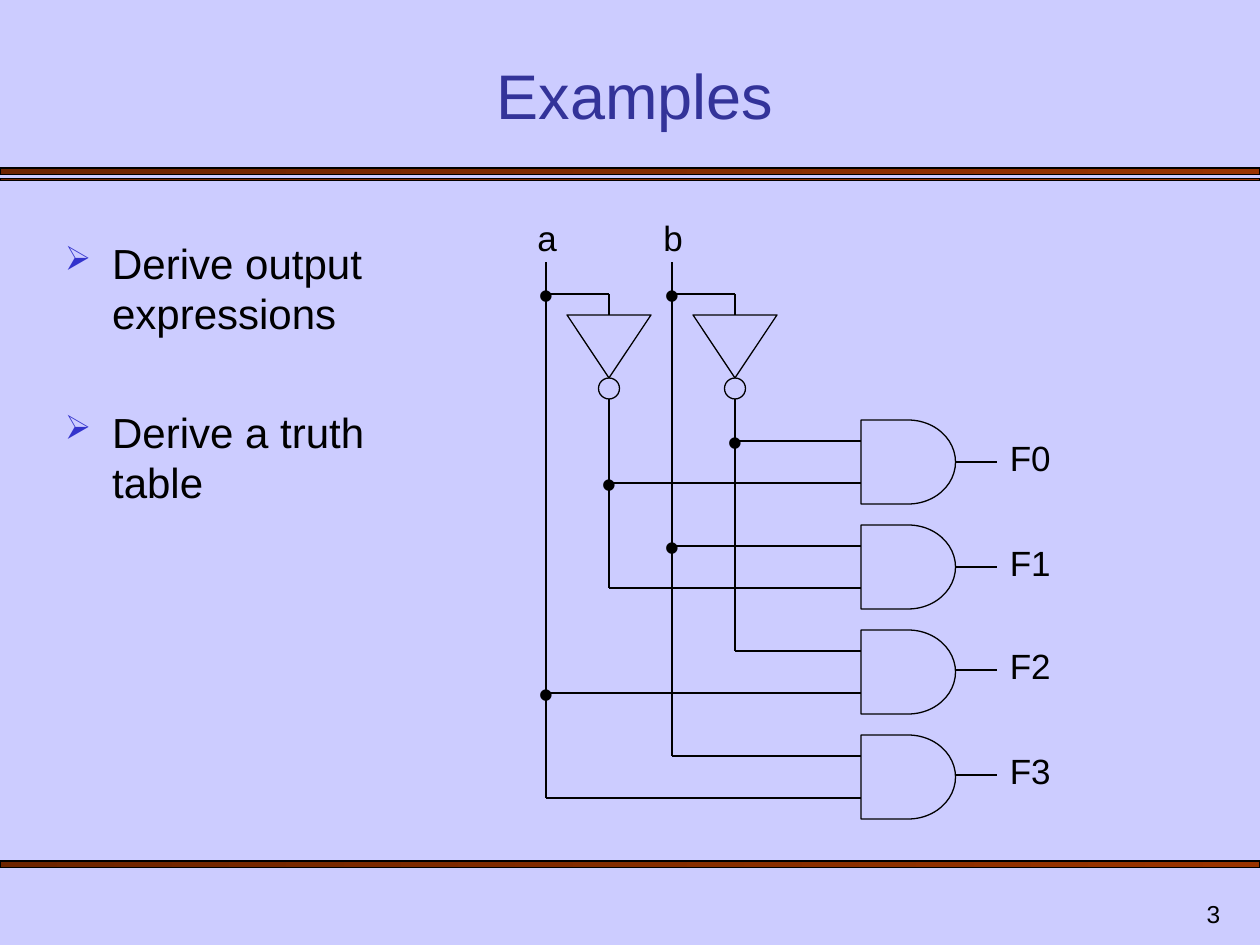
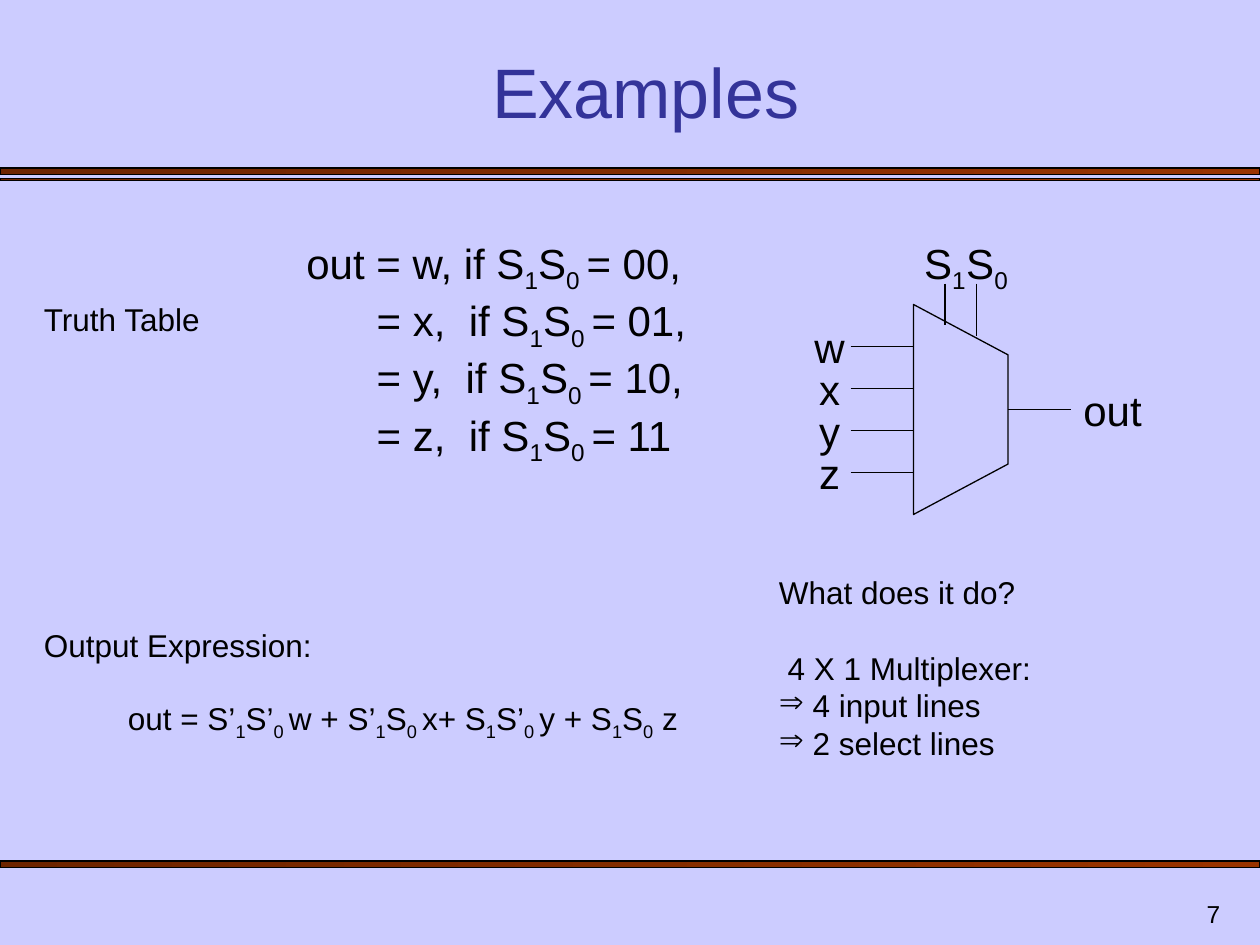
import lxml.etree
import pptx
import pptx.dml.color
import pptx.enum.shapes
import pptx.enum.text
import pptx.oxml.ns
import pptx.util

PX = 7620
RGB = pptx.dml.color.RGBColor
LAVENDER = RGB(0xCC, 0xCC, 0xFF)
DARK_RUST = RGB(0x6D, 0x24, 0x00)
RUST = RGB(0x99, 0x33, 0x00)
BLACK = RGB(0x00, 0x00, 0x00)
TITLE_BLUE = RGB(0x33, 0x33, 0x99)
BULLET_BLUE = RGB(0x33, 0x33, 0xCC)

SHAPE = pptx.enum.shapes.MSO_SHAPE
ANCHOR = pptx.enum.text.MSO_ANCHOR
ALIGN = pptx.enum.text.PP_ALIGN
CENTER = {"alignment": ALIGN.CENTER}
RIGHT = {"alignment": ALIGN.RIGHT}

BANDS = ((160, 6), (170, 2), (820, 6))
RAILS = {"a": 520, "a'": 580, "b": 640, "b'": 700}
GATES = (("b'", "a'"), ("b", "a'"), ("b'", "a"), ("b", "a"))
GATE_OUTPUTS = (440, 540, 638, 738)


def px(*values):
    return [pptx.util.Emu(round(v * PX)) for v in values]


def apply_format(target, values):
    for name, value in values.items():
        setattr(target, name, value)


def add_xml(parent, tag, **attrs):
    return lxml.etree.SubElement(parent, pptx.oxml.ns.qn(tag), attrs)


def outline(sp, fill=None):
    sp.shadow.inherit = False
    if fill is None:
        sp.fill.background()
    else:
        sp.fill.solid()
        sp.fill.fore_color.rgb = fill
    sp.line.color.rgb = BLACK
    sp.line.width = pptx.util.Pt(0.75)


def add_shape(s, kind, box, fill=None):
    sp = s.shapes.add_shape(kind, *px(*box))
    outline(sp, fill)
    return sp


def add_polygon(s, points, fill=None):
    builder = s.shapes.build_freeform(*points[0], scale=PX)
    builder.add_line_segments(points[1:], close=True)
    outline(builder.convert_to_shape(), fill)


def add_wire(s, x1, y1, x2, y2):
    cn = s.shapes.add_connector(
        pptx.enum.shapes.MSO_CONNECTOR.STRAIGHT, *px(x1, y1, x2, y2))
    cn.line.color.rgb = BLACK
    cn.line.width = pptx.util.Pt(0.75)
    add_xml(cn.element.spPr, "a:effectLst")


def add_runs(p, text, size, color):
    for i, part in enumerate(text.split("~")):
        if not part:
            continue
        r = p.add_run()
        r.text = part
        apply_format(r.font, {"name": "Arial", "size": pptx.util.Pt(size)})
        r.font.color.rgb = color
        if i % 2:
            r.font._element.set("baseline", "-25000")


def add_text(s, box, lines, size, color=BLACK, para=None, frame=None):
    tf = s.shapes.add_textbox(*px(*box)).text_frame
    apply_format(tf, {"word_wrap": True, **(frame or {})})
    lines = [lines] if isinstance(lines, str) else lines
    for i, line in enumerate(lines):
        p = tf.add_paragraph() if i else tf.paragraphs[0]
        apply_format(p, para or {})
        add_runs(p, line, size, color)
    return tf.paragraphs


def add_bullet(p, char, color=None, percent=None, indent=0):
    pPr = p._p.get_or_add_pPr()
    if indent:
        pPr.set("marL", str(indent * PX))
        pPr.set("indent", str(-indent * PX))
    if color is not None:
        add_xml(add_xml(pPr, "a:buClr"), "a:srgbClr", val=str(color))
    if percent:
        add_xml(pPr, "a:buSzPct", val=str(percent * 1000))
    add_xml(pPr, "a:buChar", char=char)


def add_band(s, top, height):
    sp = add_shape(s, SHAPE.RECTANGLE, (0, top, 1200, height))
    sp.fill.gradient()
    sp.fill.gradient_angle = 0
    for stop, color in zip(sp.fill.gradient_stops, (DARK_RUST, RUST)):
        stop.color.rgb = color


def add_slide(prs, number, title_box, title_size):
    s = prs.slides.add_slide(prs.slide_layouts[6])
    for top, height in BANDS:
        add_band(s, top, height)
    bottom = {"vertical_anchor": ANCHOR.BOTTOM}
    add_text(s, (924, 840, 250, 50), number, 14, para=RIGHT, frame=bottom)
    add_text(s, title_box, "Examples", title_size, TITLE_BLUE, CENTER, bottom)
    return s


def add_dot(s, x, y):
    add_text(s, (x - 30, y - 30, 60, 60), "•", 24, para=CENTER)


def add_inverter(s, x):
    add_shape(s, SHAPE.OVAL, (x - 10, 360, 20, 20), LAVENDER)
    add_polygon(s, [(x + 40, 300), (x - 40, 300), (x, 360)], LAVENDER)


def add_input(s, name):
    x, inverted = RAILS[name], RAILS[name + "'"]
    add_inverter(s, inverted)
    add_wire(s, x, 280, inverted, 280)
    add_wire(s, inverted, 280, inverted, 300)
    add_dot(s, x, 280)
    add_text(s, (x - 20, 200, 40, 52), name, 20)


def add_gate(s, i, output):
    add_shape(s, SHAPE.FLOWCHART_DELAY, (820, 400 + 100 * i, 90, 80))
    add_wire(s, 910, output, 950, output)
    add_text(s, (950, output - 30, 90, 52), f"F{i}", 20)


def add_rail(s, name, x):
    taps = [400 + 100 * i + 20 + 40 * pin
            for i, pins in enumerate(GATES)
            for pin, source in enumerate(pins) if source == name]
    add_wire(s, x, 380 if name.endswith("'") else 250, x, taps[-1])
    for y in taps:
        add_wire(s, x, y, 820, y)
    for y in taps[:-1]:
        add_dot(s, x, y)


def build_decoder_slide(prs):
    s = add_slide(prs, "3", (70, 48, 1070, 84), 36)
    tasks = add_text(s, (50, 220, 380, 280),
                     ["Derive output expressions", "Derive a truth table"], 24)
    tasks[1].space_before = pptx.util.Pt(39)
    for p in tasks:
        add_bullet(p, "➢", BULLET_BLUE, 80, 45)
    for i, output in enumerate(GATE_OUTPUTS):
        add_gate(s, i, output)
    for name, x in RAILS.items():
        add_rail(s, name, x)
    for name in "ab":
        add_input(s, name)


def add_multiplexer(s):
    add_polygon(s, [(870, 490), (960, 442), (960, 338), (870, 290)])
    for i, name in enumerate("wxyz"):
        y = 330 + 40 * i
        add_wire(s, 810, y, 870, y)
        add_text(s, (760, y - 30, 60, 60), name, 24, para=CENTER)
    for x, end, label_x, name in ((900, 310, 860, "S~1"), (930, 320, 900, "S~0")):
        add_wire(s, x, 270, x, end)
        add_text(s, (label_x, 220, 80, 60), name, 24, para=CENTER)
    add_wire(s, 960, 390, 1020, 390)
    add_text(s, (1020, 360, 90, 60), "out", 24)


def build_multiplexer_slide(prs):
    s = add_slide(prs, "7", (80, 40, 1070, 92), 40)
    cases = add_text(s, (280, 220, 430, 204),
                     ["out = w, if S~1~S~0 ~= 00,",
                      "= x,  if S~1~S~0 ~= 01,",
                      "= y,  if S~1~S~0 ~= 10,",
                      "= z,  if S~1~S~0 ~= 11"], 24)
    for p in cases[1:]:
        p._p.get_or_add_pPr().set("marL", str(67 * PX))
    add_multiplexer(s)
    no_wrap = {"word_wrap": False}
    add_text(s, (30, 280, 174, 48), "Truth Table", 18, frame=no_wrap)
    add_text(s, (30, 590, 282, 48), "Output Expression:", 18, frame=no_wrap)
    notes = add_text(s, (730, 540, 310, 194),
                     ["What does it do?", " 4 X 1 Multiplexer:",
                      " 4 input lines", " 2 select lines"], 18)
    notes[1].space_before = pptx.util.Pt(21.5)
    for p in notes[2:]:
        add_bullet(p, "⇒")
    add_text(s, (110, 660, 595, 48),
             "out = S’~1~S’~0 ~w + S’~1~S~0 ~x+ S~1~S’~0 ~y + S~1~S~0~ z", 18)


def main():
    prs = pptx.Presentation()
    prs.slide_width, prs.slide_height = px(1200, 900)
    background = prs.slide_master.background.fill
    background.solid()
    background.fore_color.rgb = LAVENDER
    build_decoder_slide(prs)
    build_multiplexer_slide(prs)
    prs.save("out.pptx")


if __name__ == "__main__":
    main()
